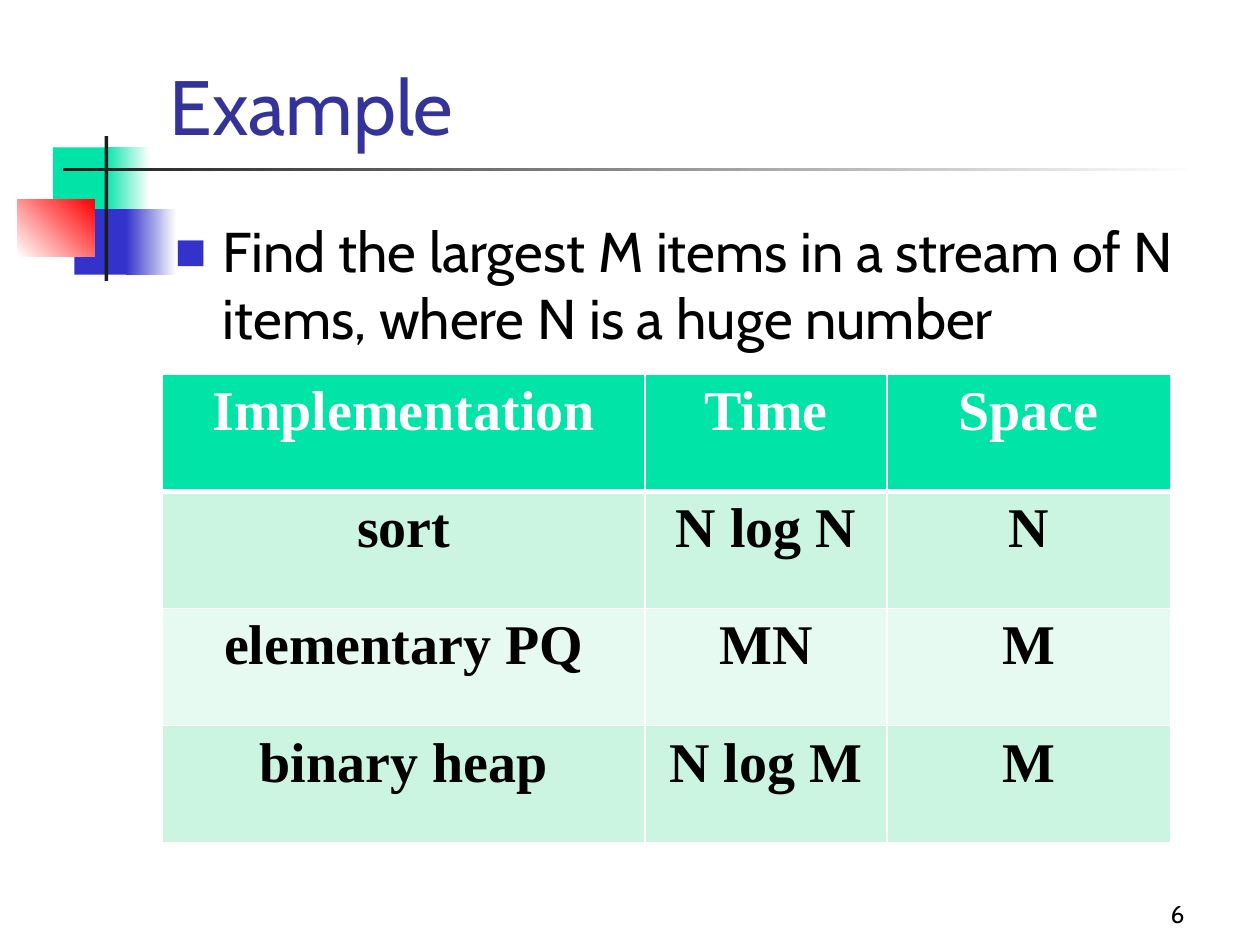
"""Builds a slide that compares ways to find the largest items of a stream."""
from dataclasses import dataclass
from typing import NamedTuple, Optional

from lxml import etree
from pptx import Presentation
from pptx import util as u
from pptx.dml.color import RGBColor
from pptx.enum import shapes, text
from pptx.oxml.ns import qn


@dataclass(frozen=True)
class Theme:
    green: str = "00E4A8"
    blue: str = "3333CC"
    red: str = "FF0000"
    dark: str = "1C1C1C"
    white: str = "FFFFFF"
    black: str = "000000"
    title: str = "333399"
    bands: tuple = ("CCF5E1", "E7FAF1")
    sans: str = "Cabin"
    serif: str = "Times New Roman"
    big: int = 44
    main: int = 32
    small: int = 14


class Box(NamedTuple):
    """Holds left, top, width and height as percent of the slide."""
    x: float
    y: float
    w: float
    h: float


class Block(NamedTuple):
    box: Box
    hue: str
    end: Optional[str] = None
    turn: int = 0


class Label(NamedTuple):
    words: str
    box: Box
    size: int
    hue: str
    anchor: text.MSO_ANCHOR = text.MSO_ANCHOR.TOP
    align: text.PP_ALIGN = text.PP_ALIGN.LEFT
    mark: bool = False


T = Theme()
WIDE, HIGH = u.Inches(10), u.Inches(7.5)
BLOCKS = [
    Block(Box(4.2, 15.6, 4.8, 6.93), T.green),
    Block(Box(8.3, 15.6, 3.6, 6.93), T.green, T.white),
    Block(Box(5.9, 22.13, 4.6, 6.93), T.blue),
    Block(Box(10, 22.13, 4, 6.93), T.blue, T.white),
    Block(Box(1.4, 21.07, 6.1, 6.13), T.white, T.red, 45),
    Block(Box(8.3, 14.4, 0.3, 15.33), T.dark),
    Block(Box(5, 17.73, 90, 0.4), T.dark, T.white),
]
LABELS = [
    Label("Example", Box(12.5, 0, 85.2, 16.67), T.big, T.title,
          text.MSO_ANCHOR.BOTTOM),
    Label("Find the largest M items in a stream of N items, where N is a huge number",
          Box(12.9, 22.27, 85, 67.2), T.main, T.black, mark=True),
    Label("6", Box(74.2, 92.27, 20.8, 6.67), T.small, T.black,
          text.MSO_ANCHOR.BOTTOM, text.PP_ALIGN.RIGHT),
]
ROWS = [
    ("Implementation", "Time", "Space"),
    ("sort", "N log N", "N"),
    ("elementary PQ", "MN", "M"),
    ("binary heap", "N log M", "M"),
]
COLS = (38.3, 19.2, 22.5)
GRID = Box(12.9, 39.6, sum(COLS), 49.6)


def place(box: Box) -> tuple:
    """Turns percent of the slide into lengths."""
    return tuple(u.Emu(round(part * full / 100))
                 for part, full in zip(box, (WIDE, HIGH, WIDE, HIGH)))


def write(para, words: str, face: str, size: int, hue: str, bold: bool = False) -> None:
    """Adds one styled run."""
    run = para.add_run()
    run.text = words
    font = run.font
    font.name, font.size, font.bold = face, u.Pt(size), bold
    font.color.rgb = RGBColor.from_string(hue)


def draw_block(slide, block: Block) -> None:
    """Draws a plain or fading rectangle."""
    shape = slide.shapes.add_shape(shapes.MSO_SHAPE.RECTANGLE, *place(block.box))
    shape.shadow.inherit = False
    shape.line.fill.background()
    if block.end is None:
        shape.fill.solid()
        shape.fill.fore_color.rgb = RGBColor.from_string(block.hue)
        return
    shape.fill.gradient()
    shape.fill.gradient_angle = block.turn
    for stop, hue in zip(shape.fill.gradient_stops, (block.hue, block.end)):
        stop.color.rgb = RGBColor.from_string(hue)


def add_mark(para) -> None:
    """Gives a paragraph a hanging square bullet."""
    props = para._p.get_or_add_pPr()
    hang = u.Inches(0.38)
    props.set("marL", str(hang))
    props.set("indent", str(-hang))
    tint = etree.SubElement(props, qn("a:buClr"))
    etree.SubElement(tint, qn("a:srgbClr"), val=T.blue)
    etree.SubElement(props, qn("a:buSzPct"), val="60000")
    etree.SubElement(props, qn("a:buFont"), typeface=T.sans)
    etree.SubElement(props, qn("a:buChar"), char="■")


def draw_label(slide, label: Label) -> None:
    """Draws a text box."""
    frame = slide.shapes.add_textbox(*place(label.box)).text_frame
    frame.word_wrap = True
    frame.vertical_anchor = label.anchor
    para = frame.paragraphs[0]
    para.alignment = label.align
    if label.mark:
        add_mark(para)
    write(para, label.words, T.sans, label.size, label.hue)


def add_edges(cell, top: int, base: int) -> None:
    """Draws white cell borders with the given top and base widths."""
    props = cell._tc.get_or_add_tcPr()
    for spot, (side, width) in enumerate(zip("LRTB", (1, 1, top, base))):
        line = etree.Element(qn(f"a:ln{side}"), w=str(u.Pt(width)))
        fill = etree.SubElement(line, qn("a:solidFill"))
        etree.SubElement(fill, qn("a:srgbClr"), val=T.white)
        props.insert(spot, line)


def draw_table(slide) -> None:
    """Draws the table of costs."""
    table = slide.shapes.add_table(len(ROWS), len(COLS), *place(GRID)).table
    table.horz_banding = False
    for col, share in zip(table.columns, COLS):
        col.width = round(WIDE * share / 100)
    for r, row in enumerate(ROWS):
        head = r == 0
        back = T.green if head else T.bands[(r - 1) % 2]
        for c, words in enumerate(row):
            cell = table.cell(r, c)
            cell.fill.solid()
            cell.fill.fore_color.rgb = RGBColor.from_string(back)
            add_edges(cell, 3 if r == 1 else 1, 3 if head else 1)
            para = cell.text_frame.paragraphs[0]
            para.alignment = text.PP_ALIGN.CENTER
            write(para, words, T.serif, T.main, T.white if head else T.black, True)


def main() -> None:
    """Builds and saves the deck."""
    deck = Presentation()
    deck.slide_width, deck.slide_height = WIDE, HIGH
    slide = deck.slides.add_slide(deck.slide_layouts[6])
    for block in BLOCKS:
        draw_block(slide, block)
    for label in LABELS:
        draw_label(slide, label)
    draw_table(slide)
    deck.save("out.pptx")


if __name__ == "__main__":
    main()
